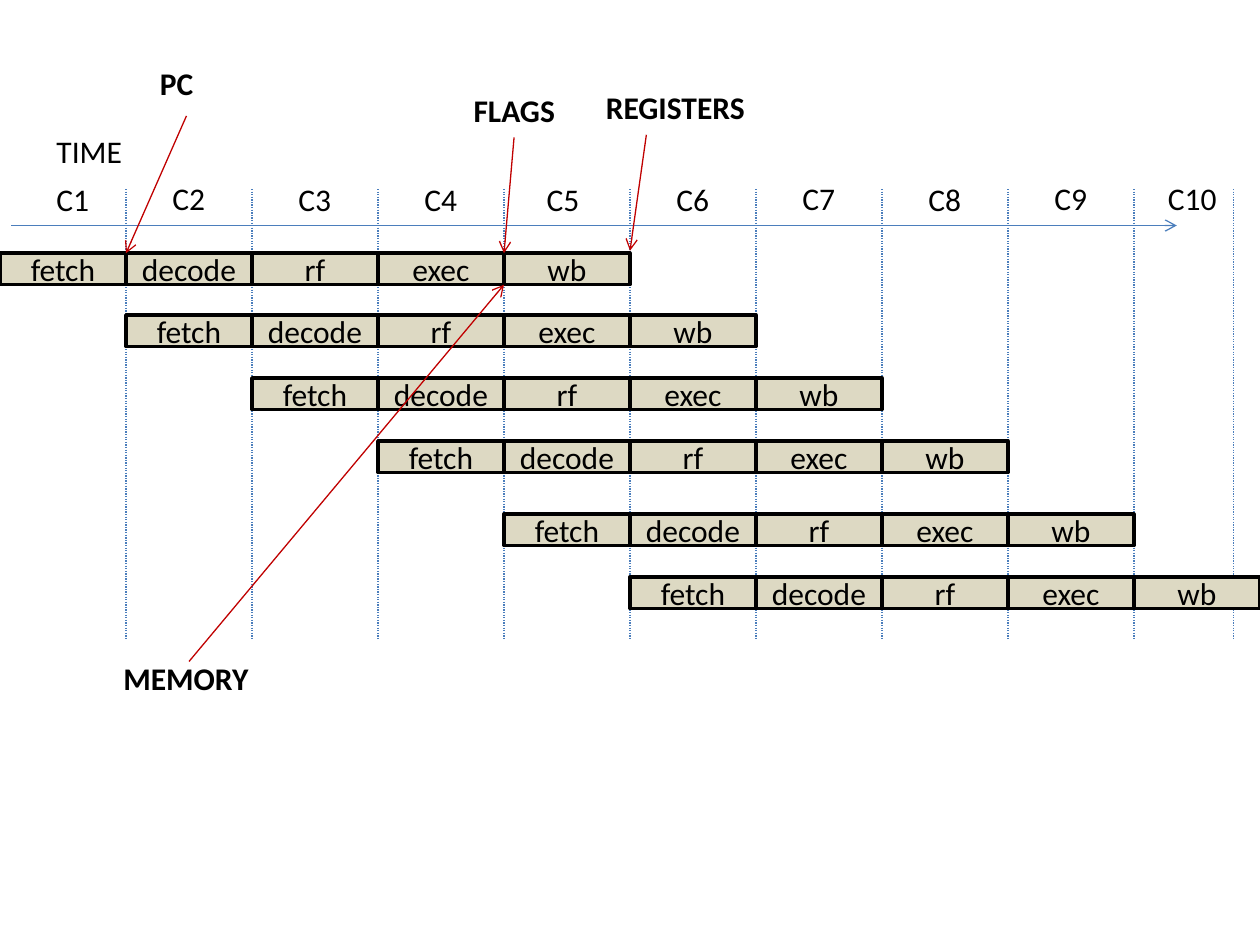
from lxml import etree
from pptx import Presentation
from pptx.dml.color import RGBColor
from pptx.enum.dml import MSO_LINE
from pptx.enum.shapes import MSO_CONNECTOR, MSO_SHAPE
from pptx.enum.text import MSO_ANCHOR, MSO_AUTO_SIZE, PP_ALIGN
from pptx.oxml.ns import qn
from pptx.util import Inches, Pt

STRAIGHT = MSO_CONNECTOR.STRAIGHT
RECTANGLE = MSO_SHAPE.RECTANGLE
DOTTED = MSO_LINE.ROUND_DOT
MIDDLE = MSO_ANCHOR.MIDDLE
CENTER = PP_ALIGN.CENTER
FIT_SHAPE = MSO_AUTO_SIZE.SHAPE_TO_FIT_TEXT

BLACK = RGBColor(0x00, 0x00, 0x00)
BLUE = RGBColor(0x4B, 0x7E, 0xBC)
RED = RGBColor(0xC0, 0x00, 0x00)
TAN = RGBColor(0xDD, 0xD9, 0xC3)

STAGES = ["fetch", "decode", "rf", "exec", "wb"]
ROW_TOPS = [2.01, 2.5, 3, 3.5, 4.08, 4.58]
CELL_W, CELL_H = 1, 0.25

prs = Presentation()
prs.slide_width, prs.slide_height = Inches(10), Inches(7.5)
s = prs.slides.add_slide(prs.slide_layouts[6])


def add_line(x1, y1, x2, y2, color, dash=None, arrow=False):
    c = s.shapes.add_connector(STRAIGHT, Inches(x1), Inches(y1), Inches(x2), Inches(y2))
    c.line.color.rgb = color
    c.line.width = Pt(0.75)
    if dash:
        c.line.dash_style = dash
    if arrow:
        etree.SubElement(c.line._get_or_add_ln(), qn("a:tailEnd"), type="arrow")
    etree.SubElement(c._element.spPr, qn("a:effectLst"))


def write(sp, text, bold=False):
    p = sp.text_frame.paragraphs[0]
    r = p.add_run()
    r.text = text
    for name, value in {"name": "Calibri", "size": Pt(18), "bold": bold}.items():
        setattr(r.font, name, value)
    r.font.color.rgb = BLACK
    return p


# Time axis and cycle boundaries
add_line(0.09, 1.79, 9.34, 1.79, BLUE, arrow=True)
for x in [*range(1, 10), 9.79]:
    add_line(x, 1.5, x, 5.08, BLUE, dash=DOTTED)

# Each instruction starts one cycle after the one before
for row, top in enumerate(ROW_TOPS):
    for col, stage in enumerate(STAGES):
        sp = s.shapes.add_shape(RECTANGLE, Inches((row + col) * CELL_W), Inches(top),
                                Inches(CELL_W), Inches(CELL_H))
        sp.shadow.inherit = False
        sp.fill.solid()
        sp.fill.fore_color.rgb = TAN
        sp.line.color.rgb = BLACK
        sp.line.width = Pt(2)
        sp.text_frame.vertical_anchor = MIDDLE
        write(sp, stage).alignment = CENTER

# Arrows from each state element to the stage boundary that updates it
for ends in [(4.08, 1.09, 4, 2.01), (5.13, 1.07, 5, 1.99),
             (1.5, 5.25, 4, 2.26), (1.48, 0.92, 1, 2.01)]:
    add_line(*ends, RED, arrow=True)

# Labels: text, left, top, width, bold
labels = [
    ("TIME", 0.35, 1, 0.73, False),
    ("C1", 0.35, 1.38, 0.46, False),
    ("C5", 4.24, 1.38, 0.46, False),
    ("C10", 9.17, 1.37, 0.59, False),
    ("FLAGS", 3.66, 0.67, 0.85, True),
    ("REGISTERS", 4.71, 0.65, 1.31, True),
    ("MEMORY", 0.88, 5.18, 1.21, True),
    ("PC", 1.17, 0.46, 0.47, True),
]
for cycle in (2, 3, 4, 6, 7, 8, 9):
    top = 1.37 if cycle in (2, 7, 9) else 1.38
    labels.append((f"C{cycle}", cycle - 0.73, top, 0.46, False))

for text, left, top, width, bold in labels:
    sp = s.shapes.add_textbox(Inches(left), Inches(top), Inches(width), Inches(0.4))
    sp.text_frame.word_wrap = False
    sp.text_frame.auto_size = FIT_SHAPE
    write(sp, text, bold)

prs.save("out.pptx")
